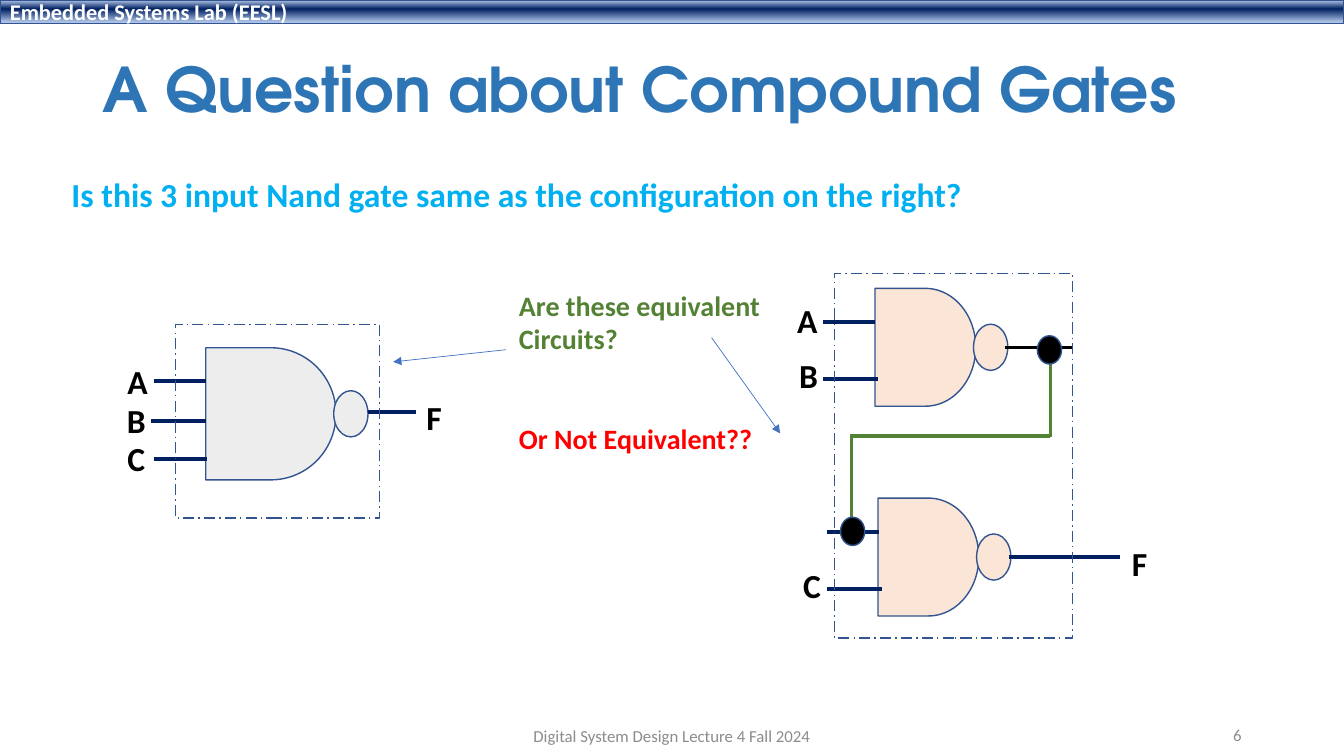
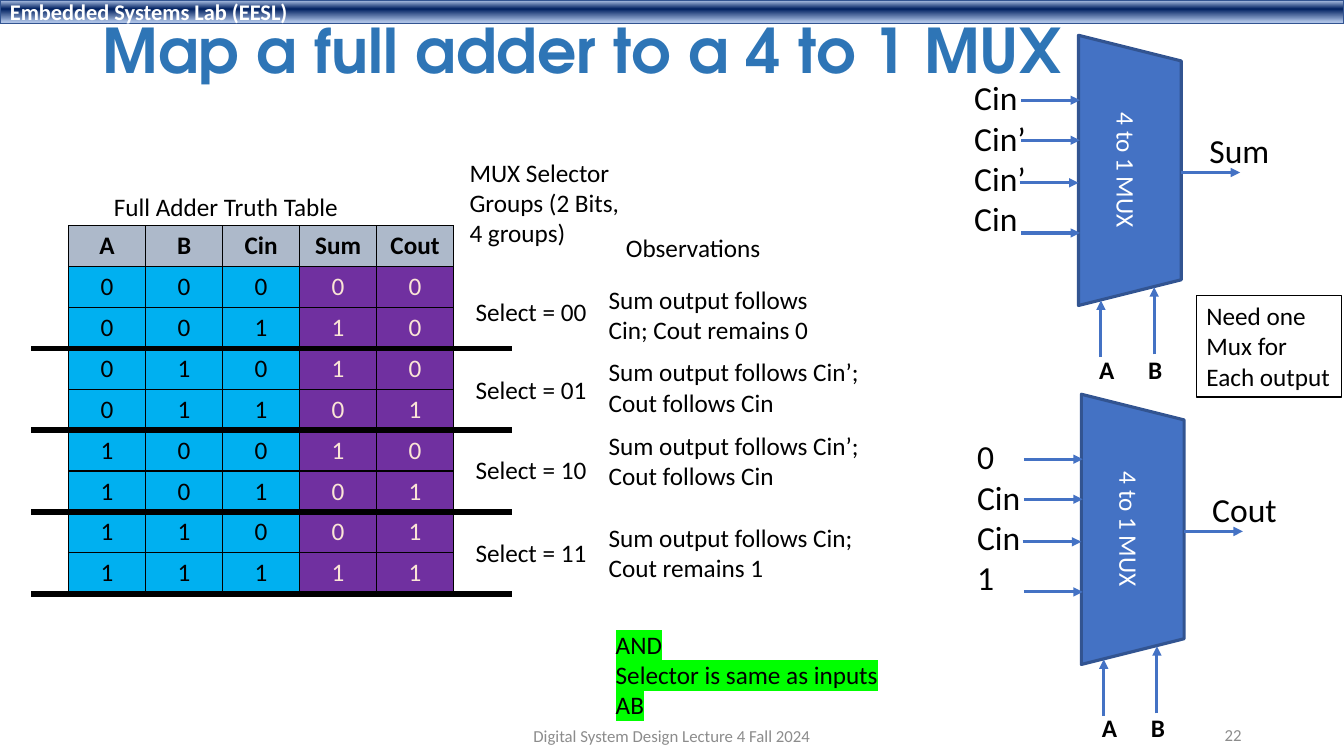
from dataclasses import dataclass
from itertools import product
from typing import Any

from lxml import etree
from pptx import Presentation
from pptx.dml.color import RGBColor
from pptx.enum import dml, shapes, text
from pptx.oxml import ns
from pptx.util import Pt

BLACK = RGBColor(0x00, 0x00, 0x00)
WHITE = RGBColor(0xFF, 0xFF, 0xFF)
TITLE_BLUE = RGBColor(0x2E, 0x75, 0xB6)
OUTLINE = RGBColor(0x32, 0x54, 0x91)
BLUE = RGBColor(0x44, 0x72, 0xC4)
NAVY = RGBColor(0x00, 0x20, 0x60)
BAND_TOP = RGBColor(0xAB, 0xC0, 0xE4)
BAND_BOTTOM = RGBColor(0xAC, 0xC1, 0xE5)
SKY = RGBColor(0x00, 0xB0, 0xF0)
GREEN = RGBColor(0x54, 0x82, 0x35)
RED = RGBColor(0xFF, 0x00, 0x00)
LIME = RGBColor(0x00, 0xFF, 0x00)
GRAY = RGBColor(0x8C, 0x8C, 0x8C)
PALE_GRAY = RGBColor(0xED, 0xED, 0xED)
PEACH = RGBColor(0xFB, 0xE5, 0xD6)
HEADER_GRAY = RGBColor(0xAD, 0xB9, 0xCA)
PURPLE = RGBColor(0x70, 0x30, 0xA0)

BODY_FONT, TITLE_FONT = "Calibri", "TeX Gyre Adventor"
LEFT, CENTER, RIGHT = text.PP_ALIGN.LEFT, text.PP_ALIGN.CENTER, text.PP_ALIGN.RIGHT
SHAPE = shapes.MSO_SHAPE
# position in percent, colour
BAND_STOPS = ((0, BAND_TOP), (2, BAND_TOP), (38, NAVY), (93, BAND_BOTTOM), (100, BAND_BOTTOM))


@dataclass
class Style:
    size: float = 18
    color: RGBColor = BLACK
    bold: bool = False
    align: Any = LEFT
    name: str = BODY_FONT


@dataclass
class Label:
    lines: tuple[str, ...]
    x: float
    y: float
    width: float = 40
    height: float = 29


@dataclass
class Wire:
    x1: float
    y1: float
    x2: float
    y2: float
    color: RGBColor = NAVY
    width: float = 3
    arrow: bool = False


@dataclass
class Gate:
    x: float
    y: float
    width: float
    height: float
    fill: RGBColor


@dataclass
class Mux:
    x: float
    y: float
    inputs: tuple[str, ...]
    output: str


PIN = Style(24, bold=True)
NOTE = Style()
SIGNAL = Style(24)


# Shared helpers
def apply(target: Any, values: dict[str, Any]) -> None:
    for name, value in values.items():
        setattr(target, name, value)


def write(frame: Any, lines: tuple[str, ...], style: Style) -> None:
    for index, line in enumerate(lines):
        paragraph = frame.paragraphs[0] if index == 0 else frame.add_paragraph()
        paragraph.alignment = style.align
        run = paragraph.add_run()
        run.text = line
        apply(run.font, {"size": Pt(style.size), "bold": style.bold, "name": style.name})
        run.font.color.rgb = style.color


def add_label(slide: Any, label: Label, style: Style, middle: bool = False) -> Any:
    box = slide.shapes.add_textbox(Pt(label.x), Pt(label.y), Pt(label.width), Pt(label.height))
    anchor = text.MSO_ANCHOR.MIDDLE if middle else text.MSO_ANCHOR.TOP
    apply(box.text_frame, {"word_wrap": True, "vertical_anchor": anchor})
    write(box.text_frame, label.lines, style)
    return box


def add_block(slide: Any, kind: Any, x: float, y: float, width: float, height: float,
              fill: RGBColor | None = None, line_width: float = 1) -> Any:
    shape = slide.shapes.add_shape(kind, Pt(x), Pt(y), Pt(width), Pt(height))
    shape.shadow.inherit = False
    if fill is None:
        shape.fill.background()
    else:
        shape.fill.solid()
        shape.fill.fore_color.rgb = fill
    shape.line.color.rgb = OUTLINE
    shape.line.width = Pt(line_width)
    return shape


def add_wire(slide: Any, wire: Wire) -> None:
    connector = slide.shapes.add_connector(
        shapes.MSO_CONNECTOR.STRAIGHT, Pt(wire.x1), Pt(wire.y1), Pt(wire.x2), Pt(wire.y2))
    connector.line.color.rgb = wire.color
    connector.line.width = Pt(wire.width)
    if wire.arrow:
        line = connector.line._get_or_add_ln()
        etree.SubElement(line, ns.qn("a:tailEnd"), type="triangle")
    etree.SubElement(connector.element.spPr, ns.qn("a:effectLst"))


def add_frame(presentation: Any, title: str, top: float, height: float, number: str) -> Any:
    slide = presentation.slides.add_slide(presentation.slide_layouts[5])
    # Top band
    band = add_block(slide, SHAPE.RECTANGLE, 0, 0, 960, 16.8, NAVY)
    solid = band.element.spPr.find(ns.qn("a:solidFill"))
    gradient = etree.Element(ns.qn("a:gradFill"), rotWithShape="1")
    stops = etree.SubElement(gradient, ns.qn("a:gsLst"))
    for position, color in BAND_STOPS:
        stop = etree.SubElement(stops, ns.qn("a:gs"), pos=str(position * 1000))
        etree.SubElement(stop, ns.qn("a:srgbClr"), val=str(color))
    etree.SubElement(gradient, ns.qn("a:lin"), ang="5400000", scaled="0")
    band.element.spPr.replace(solid, gradient)
    apply(band.text_frame, {"word_wrap": True, "vertical_anchor": text.MSO_ANCHOR.MIDDLE})
    write(band.text_frame, ("Embedded Systems Lab (EESL)",), Style(16, WHITE, True))
    # Title
    heading = slide.shapes.title
    apply(heading, {"left": Pt(66.2), "top": Pt(top), "width": Pt(828), "height": Pt(height)})
    apply(heading.text_frame, {"word_wrap": True, "auto_size": text.MSO_AUTO_SIZE.NONE,
                               "vertical_anchor": text.MSO_ANCHOR.MIDDLE})
    write(heading.text_frame, (title,), Style(44, TITLE_BLUE, True, name=TITLE_FONT))
    heading.text_frame.paragraphs[0].line_spacing = 0.9
    # Footer and slide number
    footer = Label(("Digital System Design Lecture 4 Fall 2024",), 318, 511, 324)
    add_label(slide, footer, Style(12, GRAY, align=CENTER), middle=True)
    add_label(slide, Label((number,), 678, 510.5, 216), Style(12, GRAY, align=RIGHT), middle=True)
    return slide


# Slide on compound gates
def add_gate(slide: Any, gate: Gate) -> None:
    add_block(slide, SHAPE.FLOWCHART_DELAY, gate.x, gate.y, gate.width, gate.height, gate.fill)
    bubble_width, bubble_height = 24.5, 33
    add_block(slide, SHAPE.OVAL, gate.x + gate.width - 1.6,
              gate.y + (gate.height - bubble_height) / 2, bubble_width, bubble_height, gate.fill)


def build_gates(presentation: Any) -> None:
    slide = add_frame(presentation, "A Question about Compound Gates", 28.8, 75, "6")
    question = "Is this 3 input Nand gate same as the configuration on the right?"
    add_label(slide, Label((question,), 44, 121, 700, 36), Style(24, SKY, True))

    # Gates, wires and pins
    for gate in (Gate(147, 248.4, 93, 94.4, PALE_GRAY), Gate(625, 206, 72, 84.2, PEACH),
                 Gate(627.2, 355.8, 72, 84.2, PEACH)):
        add_gate(slide, gate)
    for wire in (
        Wire(110, 272, 147, 272), Wire(108, 301, 147, 301), Wire(110, 327.6, 148, 327.6),
        Wire(263, 294.5, 297, 294.5),
        Wire(588, 230.2, 625, 230.2), Wire(588, 270.6, 627, 270.6),
        Wire(718, 248.2, 766, 248.2, BLACK, 2.25),
        Wire(591, 380.2, 628, 380.2), Wire(591, 420.6, 630, 420.6),
        Wire(720.6, 398, 800, 398),
        Wire(750.2, 248.4, 750.2, 312.5, GREEN, 2.25),
        Wire(750.2, 311.4, 607.2, 311.4, GREEN, 2.25),
        Wire(608.4, 312, 608.4, 381.6, GREEN, 2.25),
        Wire(361.4, 249.8, 280.8, 258.5, BLUE, 0.5, True),
        Wire(508.3, 241.2, 557.3, 309.6, BLUE, 0.5, True),
    ):
        add_wire(slide, wire)
    for name, x, y in (("A", 84, 254), ("B", 83.5, 282.4), ("C", 84, 309.6), ("F", 297.4, 280),
                       ("A", 562.3, 211), ("B", 563.8, 250), ("C", 566.6, 400.2),
                       ("F", 801.4, 384.5)):
        add_label(slide, Label((name,), x, y, 36, 36), PIN)

    # Question in the middle
    lines = ("Are these equivalent", "Circuits?", "Or Not Equivalent??")
    middle = add_label(slide, Label(lines, 363.6, 202.4, 200, 130), Style(20, GREEN, True))
    last = middle.text_frame.paragraphs[-1]
    last.space_before = Pt(47)
    last.runs[0].font.color.rgb = RED

    # Dashed borders and junction dots
    for x, y, width, height in ((596.2, 195.2, 170, 260.6), (125.3, 231.8, 146, 138.2)):
        border = add_block(slide, SHAPE.RECTANGLE, x, y, width, height)
        border.line.dash_style = dml.MSO_LINE.LONG_DASH_DOT
    for x, y in ((600.4, 369.4), (741, 239.8)):
        add_block(slide, SHAPE.OVAL, x, y, 17.3, 20.2, BLACK)


# Slide on the full adder
def fill_cell(cell: Any, value: str, fill: RGBColor, style: Style) -> None:
    properties = cell._tc.get_or_add_tcPr()
    for side in ("a:lnL", "a:lnR", "a:lnT", "a:lnB"):
        border = etree.SubElement(properties, ns.qn(side), w=str(Pt(1)))
        solid = etree.SubElement(border, ns.qn("a:solidFill"))
        etree.SubElement(solid, ns.qn("a:srgbClr"), val=str(BLACK))
    cell.fill.solid()
    cell.fill.fore_color.rgb = fill
    write(cell.text_frame, (value,), style)


def add_truth_table(slide: Any) -> None:
    left, top, column, row_height = 49, 161.3, 55, 29.2
    rows = [("A", "B", "Cin", "Sum", "Cout")]
    for bits in product((0, 1), repeat=3):
        carry, total = divmod(sum(bits), 2)
        rows.append(tuple(str(value) for value in (*bits, total, carry)))
    table = slide.shapes.add_table(len(rows), 5, Pt(left), Pt(top), Pt(5 * column),
                                   Pt(len(rows) * row_height)).table
    apply(table, {"first_row": False, "horz_banding": False})
    for r, row in enumerate(rows):
        table.rows[r].height = Pt(row_height)
        for c, value in enumerate(row):
            table.columns[c].width = Pt(column)
            is_output = c > 2
            if r == 0:
                fill, color = HEADER_GRAY, BLACK
            else:
                fill, color = (PURPLE, PEACH) if is_output else (SKY, BLACK)
            fill_cell(table.cell(r, c), value, fill, Style(18, color, r == 0, CENTER))
    # Rules below each selector group
    for r in range(3, len(rows) + 1, 2):
        y = top + r * row_height
        add_wire(slide, Wire(22.3, y, 365.8, y, BLACK, 4))


def add_mux(slide: Any, mux: Mux) -> None:
    width, height = 73.4, 193
    body = add_block(slide, SHAPE.TRAPEZOID, mux.x + (width - height) / 2,
                     mux.y + (height - width) / 2, height, width, BLUE, 2.25)
    body.rotation = 90
    body.text_frame.vertical_anchor = text.MSO_ANCHOR.MIDDLE
    write(body.text_frame, ("4 to 1 MUX",), Style(18, WHITE, align=CENTER))
    for x1, y1, x2, y2 in ((-41, 46.4, 1, 46.4), (-41, 75, 1, 75), (-42, 105.4, 0, 105.4),
                           (-41, 141.2, 1, 141.2), (width, 98, 115.4, 98),
                           (16, 230, 16, 189.4), (54, 228, 54, 180)):
        add_wire(slide, Wire(mux.x + x1, mux.y + y1, mux.x + x2, mux.y + y2, BLUE, 2.25, True))
    add_label(slide, Label(mux.inputs, mux.x - 81.6, mux.y + 26.4, 60, 124), SIGNAL)
    add_label(slide, Label((mux.output,), mux.x + 86.4, mux.y + 64, 75, 36), SIGNAL)
    for name, x in (("A", 7.6), ("B", 42.6)):
        add_label(slide, Label((name,), mux.x + x, mux.y + 224, 32), Style(bold=True))


def build_adder(presentation: Any) -> None:
    slide = add_frame(presentation, "Map a full adder to a 4 to 1 MUX", 10.8, 55.4, "22")
    add_truth_table(slide)

    # Captions, selector groups and observations
    for label in (
        Label(("Full Adder Truth Table",), 74.2, 133.2, 190),
        Label(("MUX Selector", "Groups (2 Bits,", "4 groups)"), 328.3, 108.7, 140, 73),
        Label(("Observations",), 440, 162.7, 125),
        Label(("Select = 00",), 332.6, 208, 105),
        Label(("Select = 01",), 332.6, 263.5, 105),
        Label(("Select = 10",), 332.6, 321, 105),
        Label(("Select = 11",), 332.6, 380, 105),
        Label(("Sum output follows", "Cin; Cout remains 0"), 427.7, 199.4, 210, 51),
        Label(("Sum output follows Cin’;", "Cout follows Cin"), 427.7, 251.3, 210, 51),
        Label(("Sum output follows Cin’;", "Cout follows Cin"), 427.7, 303.8, 210, 51),
        Label(("Sum output follows Cin;", "Cout remains 1"), 427.7, 369.4, 210, 51),
    ):
        add_label(slide, label, NOTE)

    # Multiplexers
    add_mux(slide, Mux(770.4, 25.2, ("Cin", "Cin’", "Cin’", "Cin"), "Sum"))
    add_mux(slide, Mux(772.4, 281.6, ("0", "Cin", "Cin", "1"), "Cout"))

    # Highlighted conclusion
    conclusion = Label(("AND", "Selector is same as inputs AB"), 432.7, 445.7, 221.8, 72.7)
    box = add_label(slide, conclusion, NOTE)
    for latin in box.element.iter(ns.qn("a:latin")):
        highlight = etree.Element(ns.qn("a:highlight"))
        etree.SubElement(highlight, ns.qn("a:srgbClr"), val=str(LIME))
        latin.addprevious(highlight)

    # Boxed remark
    remark = Label(("Need one", "Mux for", "Each output"), 854.7, 211, 103.7, 72.7)
    box = add_label(slide, remark, NOTE)
    box.text_frame.word_wrap = False
    box.fill.solid()
    box.fill.fore_color.rgb = WHITE
    box.line.color.rgb = BLACK
    box.line.width = Pt(1)


def main() -> None:
    presentation = Presentation()
    apply(presentation, {"slide_width": Pt(960), "slide_height": Pt(540)})
    build_gates(presentation)
    build_adder(presentation)
    presentation.save("out.pptx")


if __name__ == "__main__":
    main()
